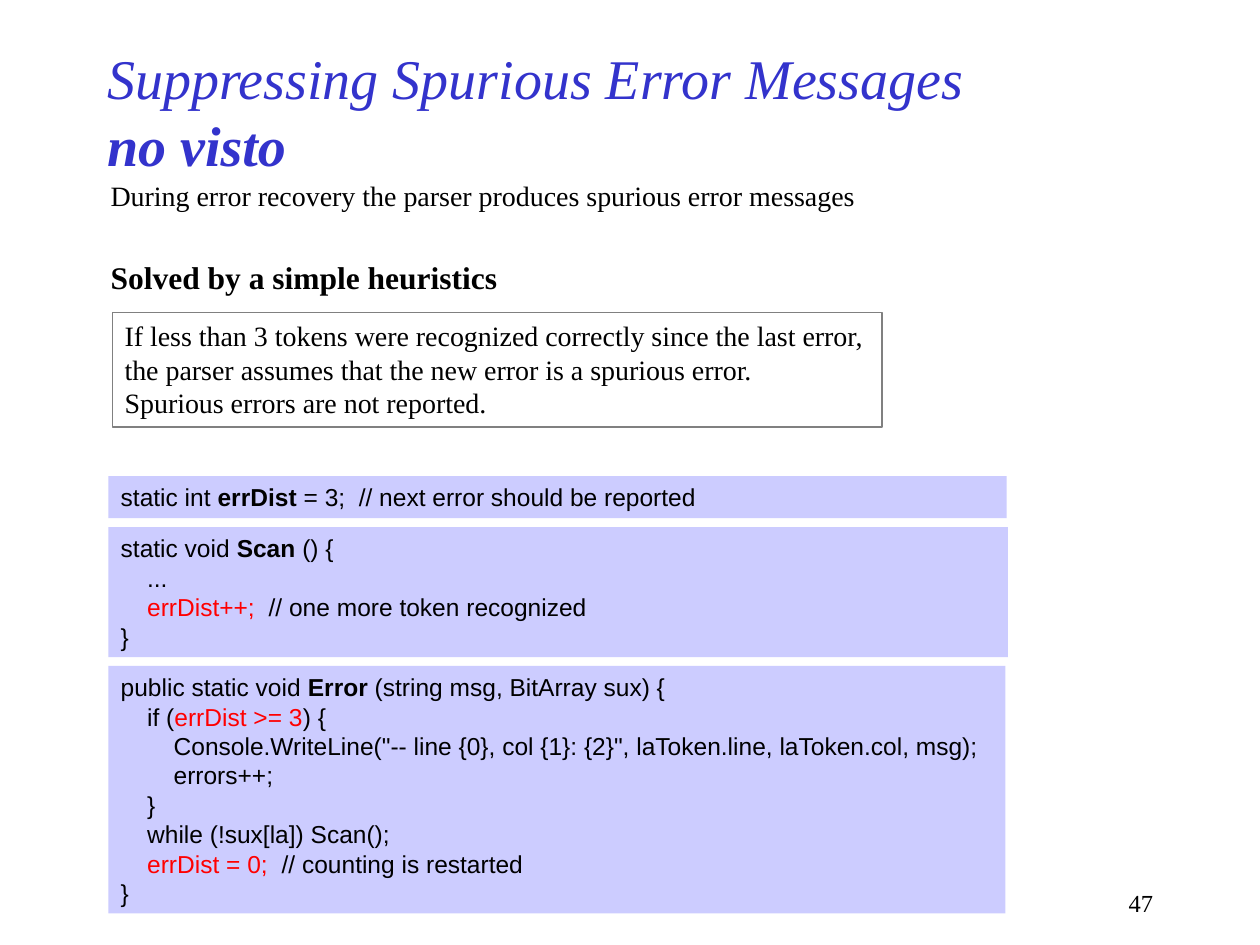
from lxml import etree
from pptx import Presentation
from pptx.dml.color import RGBColor
from pptx.enum.shapes import MSO_SHAPE
from pptx.enum.text import MSO_ANCHOR, MSO_AUTO_SIZE, PP_ALIGN
from pptx.oxml.ns import qn
from pptx.util import Inches, Pt

RECTANGLE = MSO_SHAPE.RECTANGLE
TOP, MIDDLE = MSO_ANCHOR.TOP, MSO_ANCHOR.MIDDLE
LEFT, RIGHT = PP_ALIGN.LEFT, PP_ALIGN.RIGHT
FIXED = MSO_AUTO_SIZE.NONE

COLORS = {
    "title": "3333CC",
    "text": "000000",
    "accent": "FF0000",
    "frame": "808080",
    "code": "CCCCFF",
}
SERIF, SANS = "Times New Roman", "Arial"
WIDTH, HEIGHT = 10, 7.5
COLUMNS, ROWS = 100, 75
TAB_STEP = 0.21


class SlideBuilder:
    """Holds the style and the current slide; places elements in grid columns and rows."""

    def __init__(self, deck):
        self.deck = deck
        deck.slide_width, deck.slide_height = Inches(WIDTH), Inches(HEIGHT)
        self.slide = deck.slides.add_slide(deck.slide_layouts[5])

    def area(self, column, row, columns, rows):
        across, down = WIDTH / COLUMNS, HEIGHT / ROWS
        return [Inches(column * across), Inches(row * down),
                Inches(columns * across), Inches(rows * down)]

    def fill_text(self, frame, lines, size, font=SERIF, color="text", align=LEFT,
                  anchor=TOP, wrap=True, italic=False, tabs=0):
        frame.word_wrap = wrap
        frame.auto_size = FIXED
        frame.vertical_anchor = anchor
        for number, line in enumerate(lines):
            paragraph = frame.add_paragraph() if number else frame.paragraphs[0]
            paragraph.alignment = align
            if tabs:
                self.tab_stops(paragraph, tabs)
            for words, style in line:
                run = paragraph.add_run()
                run.text = words
                run.font.name = font
                run.font.size = Pt(size)
                run.font.italic = italic
                run.font.bold = style == "bold"
                shade = "accent" if style == "accent" else color
                run.font.color.rgb = RGBColor.from_string(COLORS[shade])

    def tab_stops(self, paragraph, count):
        properties = paragraph._p.get_or_add_pPr()
        stops = etree.SubElement(properties, qn("a:tabLst"))
        for level in range(1, count + 1):
            position = str(Inches(TAB_STEP * level))
            etree.SubElement(stops, qn("a:tab"), pos=position, algn="l")

    def title(self, place, line):
        heading = self.slide.shapes.title
        heading.left, heading.top, heading.width, heading.height = self.area(*place)
        self.fill_text(heading.text_frame, [line], 32, color="title",
                       anchor=MIDDLE, italic=True)

    def text(self, place, line, size, align=LEFT, wrap=False):
        label = self.slide.shapes.add_textbox(*self.area(*place))
        self.fill_text(label.text_frame, [line], size, align=align, wrap=wrap)

    def panel(self, place, lines, size, fill=None, line=None, **style):
        panel = self.slide.shapes.add_shape(RECTANGLE, *self.area(*place))
        panel.shadow.inherit = False
        if fill:
            panel.fill.solid()
            panel.fill.fore_color.rgb = RGBColor.from_string(COLORS[fill])
        else:
            panel.fill.background()
        if line:
            panel.line.color.rgb = RGBColor.from_string(COLORS[line])
            panel.line.width = Pt(0.75)
        else:
            panel.line.fill.background()
        self.fill_text(panel.text_frame, lines, size, **style)

    def code_stack(self, column, row, blocks, line_rows=2.33, padding=1, gap=0.7):
        for columns, tabs, lines in blocks:
            rows = len(lines) * line_rows + padding
            self.panel((column, row, columns, rows), lines, 14, fill="code",
                       font=SANS, tabs=tabs)
            row += rows + gap


DECLARATION = [
    [("static int ", ""), ("errDist", "bold"),
     (" = 3;  // next error should be reported", "")],
]
SCAN = [
    [("static void ", ""), ("Scan ", "bold"), ("() {", "")],
    [("\t...", "")],
    [("\t", ""), ("errDist++;  ", "accent"), ("// one more token recognized", "")],
    [("}", "")],
]
ERROR = [
    [("public static void ", ""), ("Error", "bold"),
     (" (string msg, BitArray sux) {", "")],
    [("\tif (", ""), ("errDist >= 3", "accent"), (") {", "")],
    [('\t\tConsole.WriteLine("-- line {0}, col {1}: {2}", '
      "laToken.line, laToken.col, msg);", "")],
    [("\t\terrors++;", "")],
    [("\t}", "")],
    [("\twhile (!sux[la]) Scan();", "")],
    [("\t", ""), ("errDist = 0;", "accent"), ("  // counting is restarted", "")],
    [("}", "")],
]
HEURISTIC = [
    [("If less than 3 tokens were recognized correctly since the last error,", "")],
    [("the parser assumes that the new error is a spurious error.", "")],
    [("Spurious errors are not reported.", "")],
]


def main():
    deck = Presentation()
    builder = SlideBuilder(deck)
    builder.title((7.5, 5, 75, 7.5),
                  [("Suppressing Spurious Error Messages ", ""), ("no visto", "bold")])
    builder.text((7.8, 13.7, 61.4, 3.7),
                 [("During error recovery the parser produces spurious error messages", "")],
                 16)
    builder.text((7.8, 20, 32.7, 4), [("Solved by a simple heuristics", "bold")], 18)
    builder.panel((8.9, 24.8, 61.1, 9.1), HEURISTIC, 16, line="frame", wrap=False)
    builder.code_stack(8.6, 37.8, [(71.3, 0, DECLARATION), (71.4, 1, SCAN),
                                   (71.2, 2, ERROR)])
    builder.text((71.7, 70, 20.8, 3.3), [("47", "")], 14, align=RIGHT, wrap=True)
    deck.save("out.pptx")


if __name__ == "__main__":
    main()
